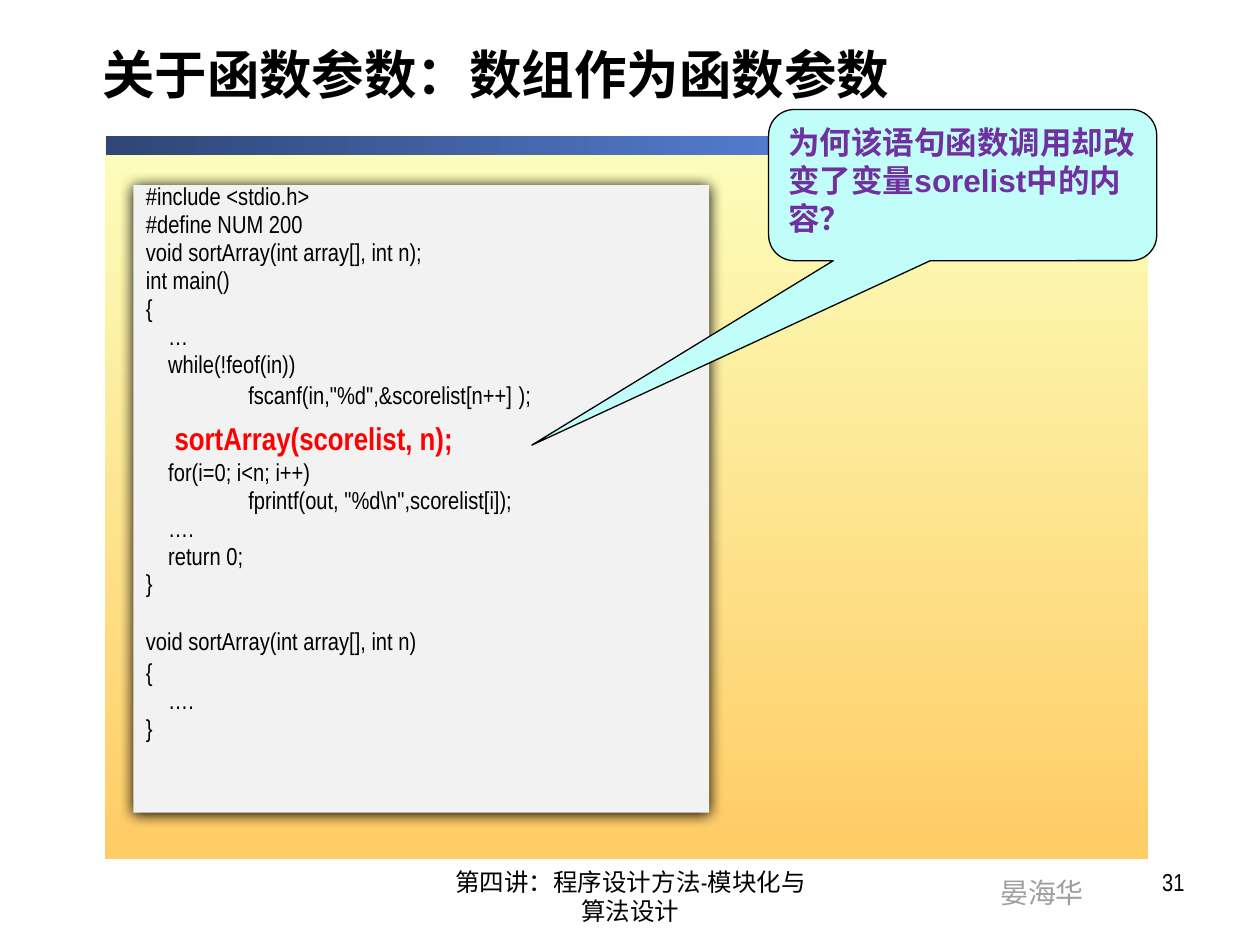
from lxml.etree import SubElement as Sub
from pptx import Presentation
from pptx.dml.color import RGBColor as Rgb
from pptx.enum.shapes import MSO_SHAPE as Kind
from pptx.enum.text import MSO_ANCHOR as Anchor, PP_ALIGN as Align
from pptx.oxml.ns import qn
from pptx.util import Pt

HUE = {
    "black": "000000", "red": "FF0000", "violet": "7030A0", "gray": "9F9F9F",
    "page": "F2F2F2", "aqua": "C1FEF9", "cream": "FCFEBC", "gold": "FFCC66",
    "navy": "2F4676", "blue": "6699FF",
}
SANS, SLIM = "Arial", "Arial Narrow"
TITLE = "关于函数参数：数组作为函数参数"
NOTE = "为何该语句函数调用却改变了变量sorelist中的内容？"
BANDS = [
    ((59.8, 79.2, 596.2, 411.8), "cream", "gold", 270),
    ((60.5, 77.8, 595.4, 10.8), "navy", "blue", 0),
]
LABELS = [
    ((564.5, 496.8, 62.6, 26.6), "晏海华", 16, SANS, "gray", Align.LEFT, False),
    ((246.2, 491.8, 228.2, 37.4), "第四讲：程序设计方法-模块化与算法设计", 14, SLIM, "black", Align.CENTER, True),
    ((516.2, 491.8, 167.8, 37.4), "31", 14, SLIM, "black", Align.RIGHT, True),
]
HEAD = [
    "#include <stdio.h>",
    "#define NUM 200",
    "void sortArray(int array[], int n);",
    "int main()",
    "{",
    "    …",
    "    while(!feof(in))",
    [("     \t\tfscanf(in,\"%d\",&scorelist[n++]", 14), (" ", 16), (");", 14)],
    [("   ", 24, "red", True), ("sortArray(scorelist, n);", 18, "red", True)],
    "    for(i=0; i<n; i++)",
    "    \t\tfprintf(out, \"%d\\n\",scorelist[i]);",
    "    ….",
    "    return 0;",
    "}",
]
TAIL = ["void sortArray(int array[], int n)", "{", "    ….", "}"]
LOOSE = TAIL[:2]


def tint(name):
    return Rgb.from_string(HUE[name])


def write(para, text, size, hue="black", bold=False, face=SLIM):
    run = para.add_run()
    run.text = text
    font = run.font
    font.name, font.size, font.bold = face, Pt(size), bold
    font.color.rgb = tint(hue)


def block(slide, kind, box):
    shape = slide.shapes.add_shape(kind, *map(Pt, box))
    shape.shadow.inherit = False
    shape.line.fill.background()
    frame = shape.text_frame
    frame.word_wrap, frame.vertical_anchor = True, Anchor.TOP
    frame.paragraphs[0].alignment = Align.LEFT
    return shape


def paint(shape, name):
    shape.fill.solid()
    shape.fill.fore_color.rgb = tint(name)


def shade(shape):
    glow = Sub(shape.element.spPr.find(qn("a:effectLst")), qn("a:outerShdw"),
               blurRad=str(Pt(8.5)), dist=str(Pt(1)), dir="5400000",
               algn="t", rotWithShape="0")
    Sub(glow, qn("a:srgbClr"), val=HUE["black"])


def list_code(frame):
    for row, line in enumerate(HEAD + TAIL):
        para = frame.add_paragraph() if row else frame.paragraphs[0]
        runs = [(line, 14)] if isinstance(line, str) else line
        props = para._p.get_or_add_pPr()
        props.set("marL", str(Pt(22.5)))
        props.set("indent", str(Pt(-22.5)))
        para.alignment = Align.LEFT
        loose = row >= len(HEAD) and line in LOOSE
        para.line_spacing = 0.7 if loose else 0.6
        gap = 0.42 * max(run[1] for run in runs)
        if row == len(HEAD):
            gap += 15.5
        para.space_before = Pt(round(gap, 1) if row else 0)
        for run in runs:
            write(para, *run)


def main():
    deck = Presentation()
    deck.slide_width, deck.slide_height = Pt(720), Pt(540)
    slide = deck.slides.add_slide(deck.slide_layouts[5])

    title = slide.shapes.title
    title.left, title.top, title.width, title.height = map(Pt, (51.1, 12.2, 645.1, 66.2))
    title.text_frame.vertical_anchor = Anchor.MIDDLE
    para = title.text_frame.paragraphs[0]
    para.alignment, para.line_spacing = Align.LEFT, 0.8
    write(para, TITLE, 30, bold=True)

    for box, start, end, angle in BANDS:
        fill = block(slide, Kind.RECTANGLE, box).fill
        fill.gradient()
        fill.gradient_angle = angle
        for stop, name in zip(fill.gradient_stops, (start, end)):
            stop.color.rgb = tint(name)

    for box, text, size, face, hue, align, wrap in LABELS:
        frame = slide.shapes.add_textbox(*map(Pt, box)).text_frame
        frame.word_wrap = wrap
        para = frame.paragraphs[0]
        para.alignment = align
        write(para, text, size, hue, face=face)

    code = block(slide, Kind.RECTANGLE, (76.3, 105.8, 329, 358.6))
    paint(code, "page")
    shade(code)
    list_code(code.text_frame)

    note = block(slide, Kind.ROUNDED_RECTANGULAR_CALLOUT, (439.2, 62.6, 221.8, 86.4))
    paint(note, "aqua")
    note.line.color.rgb = tint("black")
    note.line.width = Pt(0.75)
    for spot, value in enumerate((-1.11, 1.72, 0.17)):
        note.adjustments[spot] = value
    write(note.text_frame.paragraphs[0], NOTE, 18, "violet", True, SANS)

    deck.save("out.pptx")


if __name__ == "__main__":
    main()
